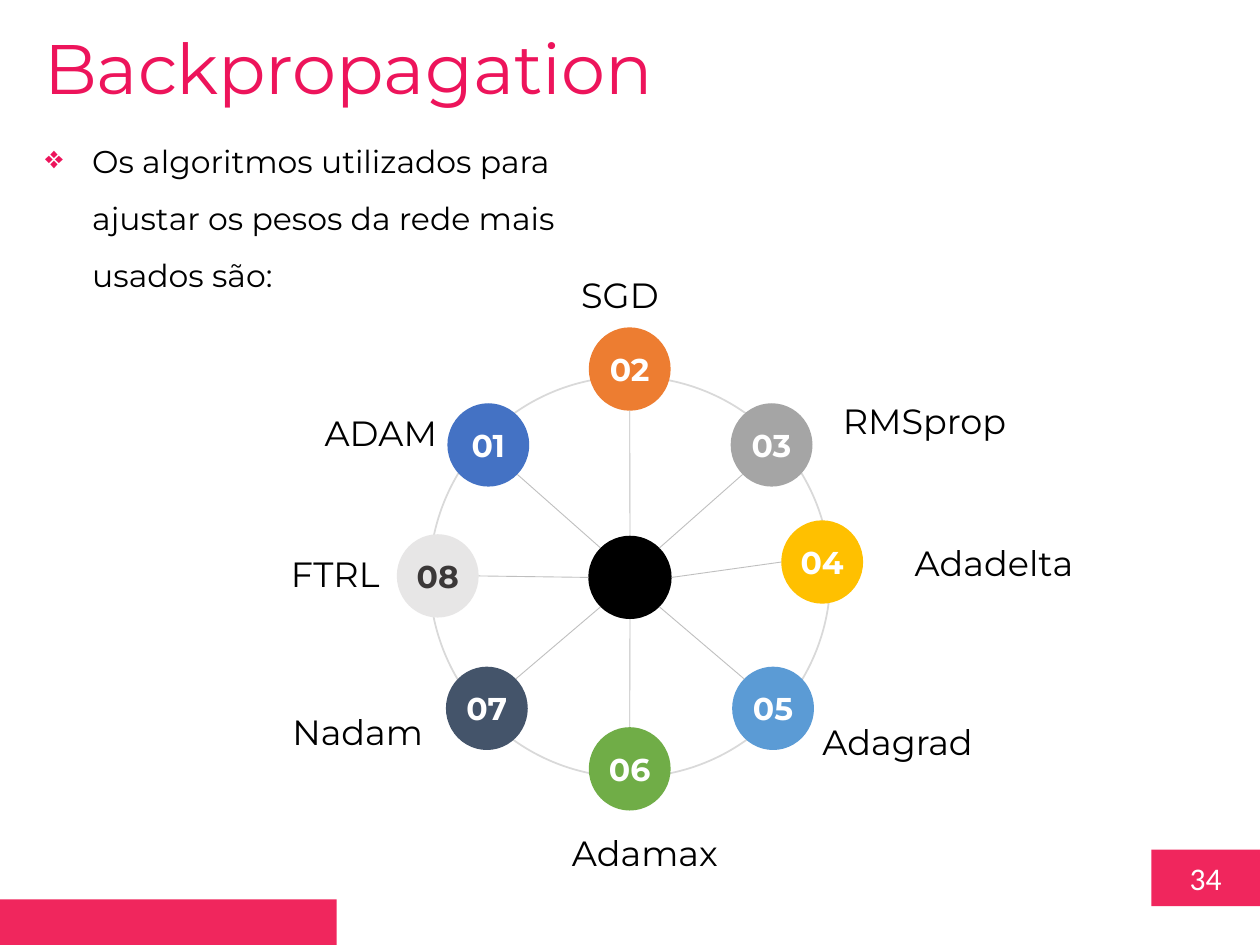
from math import cos, radians, sin

from lxml import etree
from pptx import Presentation
from pptx.dml.color import RGBColor
from pptx.enum.shapes import MSO_CONNECTOR, MSO_SHAPE
from pptx.enum.text import MSO_ANCHOR, PP_ALIGN
from pptx.oxml.ns import qn
from pptx.util import Cm, Pt

PINK = "F0265D"
TITLE_PINK = "ED145B"
LEFT, CENTER, RIGHT = PP_ALIGN.LEFT, PP_ALIGN.CENTER, PP_ALIGN.RIGHT
rgb = RGBColor.from_string


def add_shape(kind, x, y, w, h, fill=None):
    sp = s.shapes.add_shape(kind, Cm(x), Cm(y), Cm(w), Cm(h))
    sp.shadow.inherit = False
    sp.line.fill.background()
    if fill:
        sp.fill.solid()
        sp.fill.fore_color.rgb = rgb(fill)
    else:
        sp.fill.background()
    return sp


def write(sp, text, size, color, align=LEFT, font="Montserrat", bold=False):
    """Put one formatted paragraph in a shape and return the paragraph."""
    tf = sp.text_frame
    tf.word_wrap = True
    tf.text = text
    p = tf.paragraphs[0]
    p.alignment = align
    f = p.runs[0].font
    f.name, f.size, f.bold = font, Pt(size), bold
    f.color.rgb = rgb(color)
    return p


prs = Presentation()
prs.slide_width, prs.slide_height = Cm(25.4), Cm(19.05)
s = prs.slides.add_slide(prs.slide_layouts[6])

# Footer and title
page = add_shape(MSO_SHAPE.RECTANGLE, 23.21, 17.13, 2.19, 1.14, PINK)
page.text_frame.vertical_anchor = MSO_ANCHOR.MIDDLE
write(page, "34", 18, "FFFFFF", CENTER, "Calibri")
add_shape(MSO_SHAPE.RECTANGLE, 0, 18.13, 6.79, 0.92, PINK)
title = s.shapes.add_textbox(Cm(0.64), Cm(0.38), Cm(19.25), Cm(1.96))
write(title, "Backpropagation", 40, TITLE_PINK)

# Ring and hub
ring = add_shape(MSO_SHAPE.OVAL, 8.66, 7.59, 8.08, 8.08)
ring.line.color.rgb = rgb("D9D9D9")
ring.line.width = Pt(1)
add_shape(MSO_SHAPE.OVAL, 11.86, 10.8, 1.68, 1.68, "000000")

# node x, y, fill, number colour, label, label x, y, alignment
algorithms = [
    (9.02, 8.13, "4472C4", "FFFFFF", "ADAM", 2.79, 8.18, RIGHT),
    (11.87, 6.6, "ED7D31", "FFFFFF", "SGD", 7.26, 5.38, RIGHT),
    (14.73, 8.13, "A5A5A5", "FFFFFF", "RMSprop", 16.74, 7.92, LEFT),
    (15.75, 10.49, "FFC000", "FFFFFF", "Adadelta", 18.19, 10.8, LEFT),
    (14.76, 13.44, "5B9BD5", "FFFFFF", "Adagrad", 16.33, 14.4, LEFT),
    (11.87, 14.66, "70AD47", "FFFFFF", "Adamax", 11.28, 16.64, LEFT),
    (8.99, 13.44, "44546A", "FFFFFF", "Nadam", 2.51, 14.2, RIGHT),
    (8, 10.77, "E7E6E6", "3B3838", "FTRL", 1.63, 11.02, RIGHT),
]
for i, (x, y, fill, color, label, lx, ly, align) in enumerate(algorithms):
    node = add_shape(MSO_SHAPE.OVAL, x, y, 1.65, 1.68, fill)
    write(node, f"{i + 1:02}", 18, color, CENTER, bold=True)
    tf = node.text_frame
    tf.word_wrap = False
    tf.vertical_anchor = MSO_ANCHOR.MIDDLE
    tf.margin_left = tf.margin_right = tf.margin_top = tf.margin_bottom = Cm(0.15)

    tb = s.shapes.add_textbox(Cm(lx), Cm(ly), Cm(6.27), Cm(1.12))
    write(tb, label, 20, "000000", align)

    # Each spoke joins the facing points of node and hub, 45 degrees apart
    angle = radians(45 * i - 135)
    dx, dy = cos(angle), sin(angle)
    spoke = s.shapes.add_connector(
        MSO_CONNECTOR.STRAIGHT,
        Cm(x + 0.825 * (1 - dx)), Cm(y + 0.84 * (1 - dy)),
        Cm(12.7 + 0.84 * dx), Cm(11.64 + 0.84 * dy))
    spoke.line.color.rgb = rgb("BFBFBF")
    spoke.line.width = Pt(0.5)
    etree.SubElement(spoke._element.spPr, qn("a:effectLst"))

# Introductory bullet
intro = s.shapes.add_textbox(Cm(0.66), Cm(2.36), Cm(12.7), Cm(2.44))
p = write(intro, "Os algoritmos utilizados para ajustar os pesos da rede mais usados são:",
          18, "000000")
p.line_spacing = 1.5
pPr = p._p.get_or_add_pPr()
pPr.set("marL", str(Cm(0.95)))
pPr.set("indent", str(-Cm(0.95)))
bullet_color = etree.SubElement(pPr, qn("a:buClr"))
etree.SubElement(bullet_color, qn("a:srgbClr"), val=TITLE_PINK)
etree.SubElement(pPr, qn("a:buChar"), char="❖")

prs.save("out.pptx")
